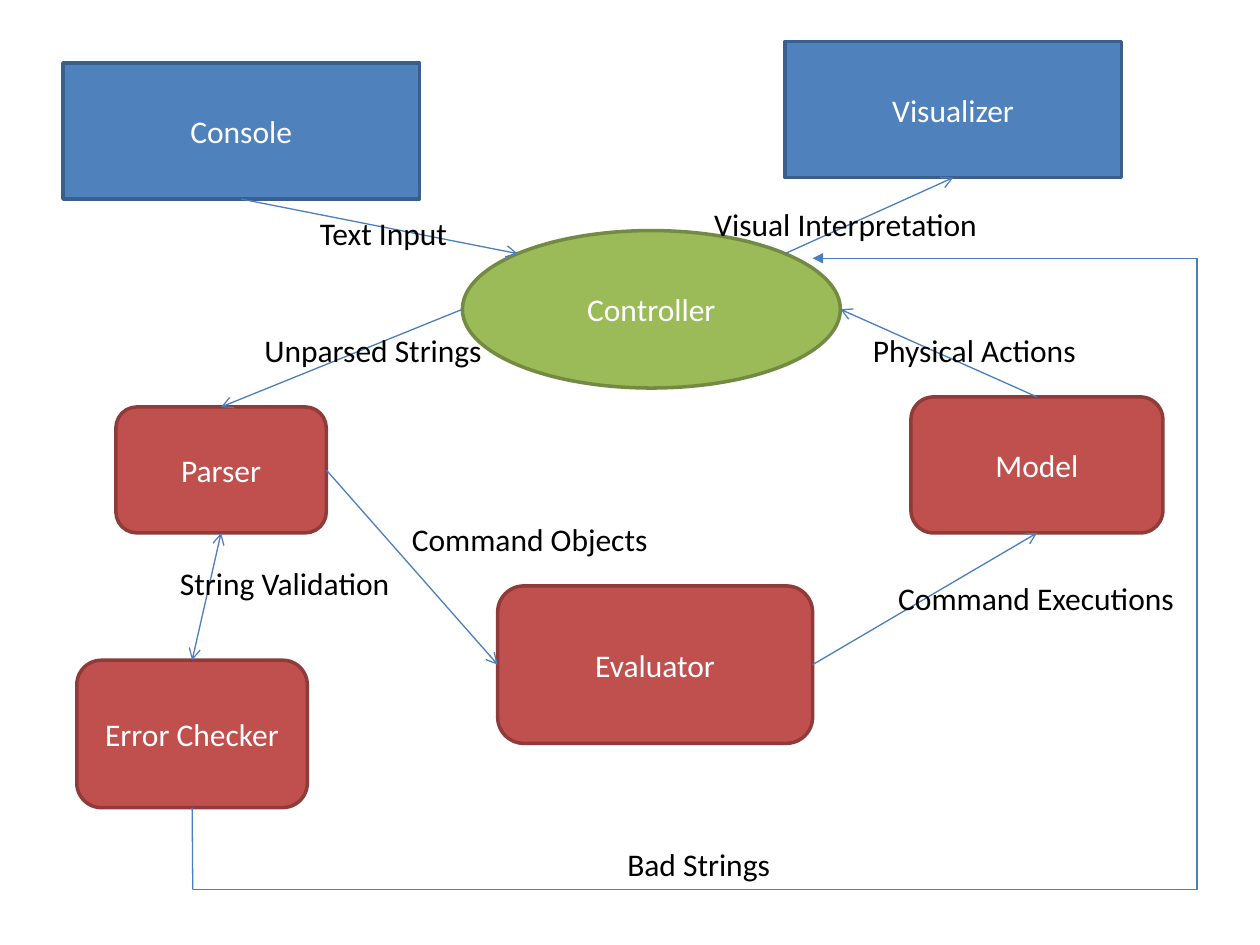
from dataclasses import dataclass
from math import sqrt
from typing import Optional

from lxml.etree import SubElement
from pptx import Presentation
from pptx.dml.color import RGBColor
from pptx.enum.shapes import MSO_CONNECTOR as Route, MSO_SHAPE as Preset
from pptx.enum.text import MSO_ANCHOR as Anchor, MSO_AUTO_SIZE as AutoSize, PP_ALIGN as Align
from pptx.oxml.ns import qn
from pptx.util import Inches, Pt

BLUE, BLUE_EDGE = RGBColor(0x4F, 0x81, 0xBD), RGBColor(0x3A, 0x5F, 0x8C)
GREEN, GREEN_EDGE = RGBColor(0x9B, 0xBB, 0x59), RGBColor(0x73, 0x8A, 0x42)
RED, RED_EDGE = RGBColor(0xC0, 0x50, 0x4D), RGBColor(0x8E, 0x3B, 0x39)
FLOW_BLUE = RGBColor(0x4B, 0x7E, 0xBC)
WHITE, BLACK = RGBColor(0xFF, 0xFF, 0xFF), RGBColor(0, 0, 0)


@dataclass(frozen=True)
class Style:
    preset: Preset
    fill: RGBColor
    edge: RGBColor
    sites: dict[str, tuple[int, float, float]]


@dataclass(frozen=True)
class Module:
    name: str
    style: Style
    left: float
    top: float
    width: float
    height: float

    def site(self, side: str) -> tuple[float, float]:
        _, across, down = self.style.sites[side]
        return self.left + across * self.width, self.top + down * self.height


@dataclass(frozen=True)
class Flow:
    source: Module
    source_side: str
    target: Module
    target_side: str
    head: Optional[str] = None


@dataclass(frozen=True)
class Label:
    text: str
    left: float
    top: float
    width: float


NEAR = (1 - sqrt(0.5)) / 2
BOX_SITES = {"top": (0, 0.5, 0), "left": (1, 0, 0.5), "bottom": (2, 0.5, 1), "right": (3, 1, 0.5)}
OVAL_SITES = {"top left": (1, NEAR, NEAR), "left": (2, 0, 0.5),
              "right": (6, 1, 0.5), "top right": (7, 1 - NEAR, NEAR)}

INTERFACE = Style(Preset.RECTANGLE, BLUE, BLUE_EDGE, BOX_SITES)
HUB = Style(Preset.OVAL, GREEN, GREEN_EDGE, OVAL_SITES)
WORKER = Style(Preset.ROUNDED_RECTANGLE, RED, RED_EDGE, BOX_SITES)

console = Module("Console", INTERFACE, 0.5, 0.5, 2.83, 1.08)
visualizer = Module("Visualizer", INTERFACE, 6.23, 0.33, 2.67, 1.08)
controller = Module("Controller", HUB, 3.67, 1.83, 3, 1.25)
parser = Module("Parser", WORKER, 0.92, 3.23, 1.67, 1)
error_checker = Module("Error Checker", WORKER, 0.61, 5.24, 1.83, 1.17)
evaluator = Module("Evaluator", WORKER, 3.95, 4.65, 2.5, 1.25)
model = Module("Model", WORKER, 7.23, 3.15, 2, 1.08)
MODULES = [console, visualizer, controller, parser, error_checker, evaluator, model]

FLOWS = [
    Flow(console, "bottom", controller, "top left"),
    Flow(controller, "left", parser, "top"),
    Flow(parser, "right", evaluator, "left"),
    Flow(evaluator, "right", model, "bottom"),
    Flow(parser, "bottom", error_checker, "top", head="arrow"),
    Flow(model, "top", controller, "right"),
    Flow(controller, "top right", visualizer, "bottom"),
]

LABELS = [
    Label("Unparsed Strings", 2, 2.58, 1.95),
    Label("String Validation", 1.33, 4.43, 1.88),
    Label("Bad Strings", 4.88, 6.66, 1.35),
    Label("Command Objects", 3.17, 4.08, 2.09),
    Label("Command Executions", 7.03, 4.55, 2.42),
    Label("Physical Actions", 6.83, 2.58, 1.83),
    Label("Visual Interpretation", 5.57, 1.58, 2.31),
    Label("Text Input", 2.44, 1.65, 1.22),
]

BAD_STRINGS_ROUTE = [error_checker.site("bottom"), (1.53, 7.06), (9.5, 7.06), (9.5, 2.05), (6.45, 2.05)]


def write(frame, text: str, color: RGBColor, align: Align) -> None:
    paragraph = frame.paragraphs[0]
    paragraph.alignment = align
    run = paragraph.add_run()
    run.text = text
    run.font.name, run.font.size = "Calibri", Pt(18)
    run.font.color.rgb = color


def draw_module(shapes, module: Module):
    box = shapes.add_shape(module.style.preset, Inches(module.left), Inches(module.top),
                           Inches(module.width), Inches(module.height))
    box.shadow.inherit = False
    box.fill.solid()
    box.fill.fore_color.rgb = module.style.fill
    box.line.color.rgb = module.style.edge
    box.line.width = Pt(2)
    box.text_frame.vertical_anchor = Anchor.MIDDLE
    write(box.text_frame, module.name, WHITE, Align.CENTER)
    return box


def draw_line(shapes, start: tuple[float, float], end: tuple[float, float],
              head: Optional[str] = None, tail: Optional[str] = None):
    line = shapes.add_connector(Route.STRAIGHT, *map(Inches, start + end))
    line.line.color.rgb = FLOW_BLUE
    line.line.width = Pt(0.75)
    outline = line.line._get_or_add_ln()
    for tag, kind in (("a:headEnd", head), ("a:tailEnd", tail)):
        if kind:
            SubElement(outline, qn(tag), type=kind)
    SubElement(line._element.spPr, qn("a:effectLst"))
    return line


def draw_flow(shapes, flow: Flow, boxes: dict) -> None:
    line = draw_line(shapes, flow.source.site(flow.source_side),
                     flow.target.site(flow.target_side), flow.head, "arrow")
    joints = line._element.find(".//" + qn("p:cNvCxnSpPr"))
    for tag, module, side in (("a:stCxn", flow.source, flow.source_side),
                              ("a:endCxn", flow.target, flow.target_side)):
        SubElement(joints, qn(tag), id=str(boxes[module.name].shape_id),
                   idx=str(module.style.sites[side][0]))


def draw_label(shapes, label: Label) -> None:
    frame = shapes.add_textbox(Inches(label.left), Inches(label.top),
                               Inches(label.width), Inches(0.4)).text_frame
    frame.word_wrap = False
    frame.auto_size = AutoSize.SHAPE_TO_FIT_TEXT
    write(frame, label.text, BLACK, Align.LEFT)


def build() -> None:
    deck = Presentation()
    deck.slide_width, deck.slide_height = Inches(10), Inches(7.5)
    shapes = deck.slides.add_slide(deck.slide_layouts[6]).shapes
    boxes = {module.name: draw_module(shapes, module) for module in MODULES}
    for flow in FLOWS:
        draw_flow(shapes, flow, boxes)
    for label in LABELS:
        draw_label(shapes, label)
    last = BAD_STRINGS_ROUTE[-1]
    for start, end in zip(BAD_STRINGS_ROUTE, BAD_STRINGS_ROUTE[1:]):
        draw_line(shapes, start, end, tail="triangle" if end == last else None)
    deck.save("out.pptx")


build()
